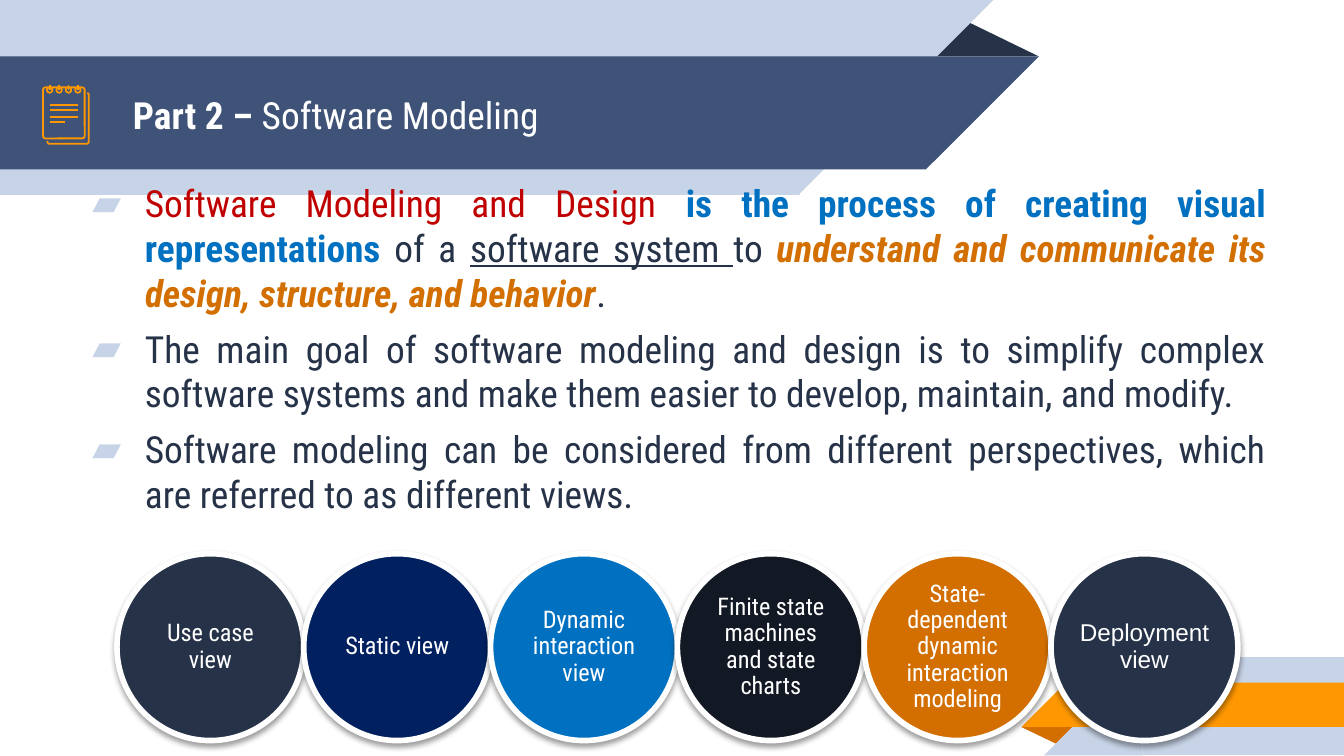
"""Build the Software Modeling slide with its definition and six model views."""
from dataclasses import dataclass

from lxml.etree import SubElement
from pptx import Presentation
from pptx.dml.color import RGBColor
from pptx.enum.shapes import MSO_CONNECTOR, MSO_SHAPE
from pptx.enum.text import MSO_ANCHOR, PP_ALIGN
from pptx.oxml import parse_xml
from pptx.oxml.ns import nsdecls, qn
from pptx.util import Inches, Pt


@dataclass(frozen=True)
class Theme:
    white: str = "FFFFFF"
    pale: str = "C7D3E6"
    slate: str = "3F5378"
    ink: str = "263248"
    night: str = "131924"
    navy: str = "002060"
    blue: str = "0070C0"
    red: str = "C00000"
    orange: str = "FF9800"
    amber: str = "D26F00"
    font: str = "Roboto Condensed"
    plain_font: str = "Arial"
    text_size: float = 20
    view_size: float = 13
    icon_line: float = 0.96
    ring_line: float = 3


theme = Theme()


def add_box(kind, left, top, width, height, fill=None, line=None, weight=theme.icon_line):
    box = page.shapes.add_shape(kind, Inches(left), Inches(top), Inches(width), Inches(height))
    box.shadow.inherit = False
    if fill:
        box.fill.solid()
        box.fill.fore_color.rgb = RGBColor.from_string(fill)
    else:
        box.fill.background()
    if line:
        box.line.color.rgb = RGBColor.from_string(line)
        box.line.width = Pt(weight)
    else:
        box.line.fill.background()
    return box


def add_span(para, text, color, size=theme.text_size, **formats):
    span = para.add_run()
    span.text = text
    span.font.color.rgb = RGBColor.from_string(color)
    for name, value in ({"name": theme.font, "size": Pt(size)} | formats).items():
        setattr(span.font, name, value)


deck = Presentation()
deck.slide_width, deck.slide_height = Inches(10), Inches(10) * 9 // 16
page = deck.slides.add_slide(deck.slide_layouts[6])

rectangle, corner, fold = MSO_SHAPE.RECTANGLE, MSO_SHAPE.RIGHT_TRIANGLE, MSO_SHAPE.ISOSCELES_TRIANGLE
ribbons = [
    (fold, 6.88, 0.14, 0.85, 0.28, theme.ink, 0, False),
    (rectangle, 0, 0, 5.95, 1.45, theme.pale, 180, True),
    (corner, 5.94, 0, 1.45, 1.45, theme.pale, 180, True),
    (rectangle, 0, 0.42, 6.89, 0.84, theme.slate, 180, True),
    (corner, 6.89, 0.42, 0.84, 0.84, theme.slate, 180, True),
    (fold, 7.6, 5.41, 0.43, 0.14, theme.amber, 180, False),
    (rectangle, 8.5, 4.89, 1.5, 0.73, theme.pale, 0, True),
    (corner, 7.77, 4.89, 0.73, 0.73, theme.pale, 0, True),
    (rectangle, 7.92, 5.08, 2.08, 0.33, theme.orange, 0, True),
    (corner, 7.6, 5.08, 0.33, 0.33, theme.orange, 0, True),
]
for kind, left, top, width, height, color, turn, flipped in ribbons:
    ribbon = add_box(kind, left, top, width, height, color)
    ribbon.rotation = turn
    if flipped:
        ribbon._element.spPr.find(qn("a:xfrm")).set("flipH", "1")
    if kind == fold:
        ribbon.adjustments[0] = 0.324

frames = []
for left, top, width, height, anchor in [
    (0.89, 0.43, 5.75, 0.84, MSO_ANCHOR.MIDDLE),
    (0.48, 1.24, 9.04, 2.98, MSO_ANCHOR.TOP),
]:
    frame = page.shapes.add_textbox(Inches(left), Inches(top), Inches(width), Inches(height)).text_frame
    margins = dict.fromkeys(["margin_left", "margin_top", "margin_right", "margin_bottom"], Inches(0.1))
    for name, value in (margins | {"word_wrap": True, "vertical_anchor": anchor}).items():
        setattr(frame, name, value)
    frames.append(frame)
title, body = frames

add_span(title.paragraphs[0], "Part 2 – ", theme.white, bold=True)
add_span(title.paragraphs[0], "Software Modeling", theme.white)

points = [
    [
        ("Software Modeling and Design ", theme.red, {}),
        ("is the process of creating visual representations ", theme.blue, {"bold": True}),
        ("of a ", theme.ink, {}),
        ("software system ", theme.ink, {"underline": True}),
        ("to ", theme.ink, {}),
        ("understand and communicate its design, structure, and behavior", theme.amber,
         {"bold": True, "italic": True}),
        (". ", theme.ink, {}),
    ],
    [("The main goal of software modeling and design is to simplify complex software systems "
      "and make them easier to develop, maintain, and modify.", theme.ink, {})],
    [("Software modeling can be considered from different perspectives, "
      "which are referred to as different views. ", theme.ink, {})],
]
for index, spans in enumerate(points):
    para = body.add_paragraph() if index else body.paragraphs[0]
    para.alignment = PP_ALIGN.JUSTIFY
    para.space_before = Pt(6)
    settings = para._p.get_or_add_pPr()
    settings.set("marL", str(Inches(0.5)))
    settings.set("indent", str(Inches(-0.39)))
    SubElement(SubElement(settings, qn("a:buClr")), qn("a:srgbClr"), val=theme.pale)
    SubElement(settings, qn("a:buFont"), typeface=theme.font)
    SubElement(settings, qn("a:buChar"), char="▰")
    for text, color, formats in spans:
        add_span(para, text, color, **formats)

views = [
    ("Use case view", theme.ink, theme.font),
    ("Static view", theme.navy, theme.font),
    ("Dynamic interaction view", theme.blue, theme.font),
    ("Finite state machines and state charts", theme.night, theme.font),
    ("State-dependent dynamic interaction modeling", theme.amber, theme.font),
    ("Deployment view", theme.ink, theme.plain_font),
]
diameter = 1.39
for index, (text, color, font) in enumerate(views):
    circle = add_box(MSO_SHAPE.OVAL, 0.87 + index * diameter, 4.12, diameter, diameter,
                     color, theme.white, theme.ring_line)
    circle._element.spPr.find(qn("a:effectLst")).append(parse_xml(
        f'<a:outerShdw {nsdecls("a")} blurRad="{Pt(3.1)}" dist="{Pt(1.6)}" dir="5400000" rotWithShape="0">'
        '<a:srgbClr val="000000"><a:alpha val="38000"/></a:srgbClr></a:outerShdw>'))
    frame = circle.text_frame
    margins = dict.fromkeys(["margin_left", "margin_top", "margin_right", "margin_bottom"], 0)
    for name, value in (margins | {"word_wrap": True, "vertical_anchor": MSO_ANCHOR.MIDDLE}).items():
        setattr(frame, name, value)
    para = frame.paragraphs[0]
    para.alignment = PP_ALIGN.CENTER
    para.line_spacing = 0.9
    add_span(para, text, theme.white, theme.view_size, name=font)

edge = [(0.35, 1.05), (0.36, 1.07), (0.37, 1.07), (0.65, 1.07), (0.66, 1.06), (0.66, 0.7), (0.65, 0.69)]
corners = [(Inches(x), Inches(y)) for x, y in edge]
outline = page.shapes.build_freeform(*corners[0])
outline.add_line_segments(corners[1:], close=False)
back_sheet = outline.convert_to_shape()
back_sheet.shadow.inherit = False
back_sheet.fill.background()
back_sheet.line.color.rgb = RGBColor.from_string(theme.orange)
back_sheet.line.width = Pt(theme.icon_line)

front_sheet = add_box(MSO_SHAPE.ROUNDED_RECTANGLE, 0.32, 0.65, 0.31, 0.38, line=theme.orange)
front_sheet.adjustments[0] = 0.06

ring_centers = [0.37 + 0.07 * index for index in range(4)]
for center in ring_centers:
    add_box(MSO_SHAPE.OVAL, center - 0.02, 0.65, 0.04, 0.04, line=theme.orange)

strokes = [(0.37, y, right, y) for y, right in [(0.78, 0.58), (0.82, 0.58), (0.87, 0.58), (0.91, 0.48)]]
strokes += [(center, 0.63, center, 0.67) for center in ring_centers]
for ends in strokes:
    stroke = page.shapes.add_connector(MSO_CONNECTOR.STRAIGHT, *map(Inches, ends))
    stroke.line.color.rgb = RGBColor.from_string(theme.orange)
    stroke.line.width = Pt(theme.icon_line)
    SubElement(stroke._element.spPr, qn("a:effectLst"))

deck.save("out.pptx")
